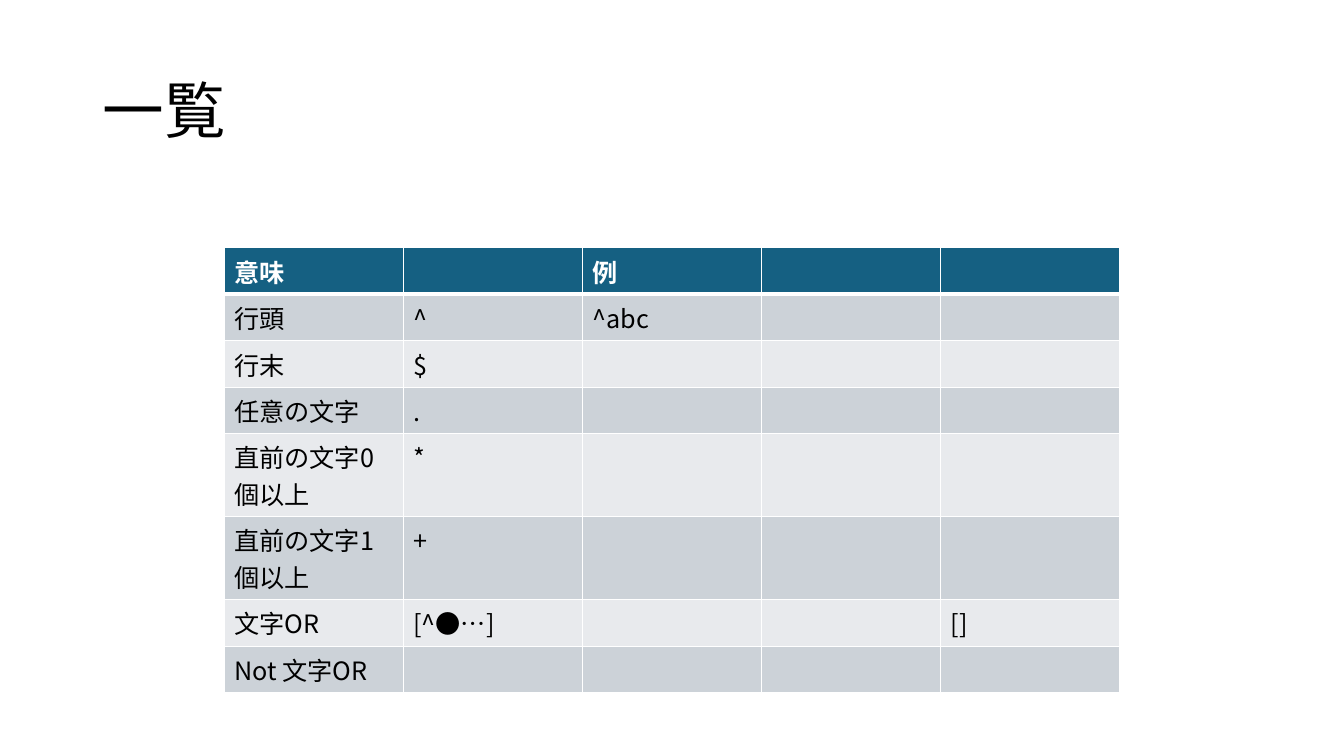
from dataclasses import dataclass

from lxml import etree
from pptx import Presentation
from pptx.dml.color import RGBColor
from pptx.enum.text import MSO_ANCHOR
from pptx.oxml.ns import qn
from pptx.util import Pt

MIDDLE = MSO_ANCHOR.MIDDLE


@dataclass(frozen=True)
class Theme:
    font: str = "Noto Sans CJK JP"
    title_size: int = 44
    body_size: int = 18
    ink: str = "000000"
    paper: str = "FFFFFF"
    header: str = "156082"
    bands: tuple = ("CCD2D8", "E8EAED")
    thin: int = 1
    thick: int = 3


THEME = Theme()
COLUMN_COUNT = 5
COLUMN_WIDTH = 128
ROW_HEIGHT = 33.2
TALL_ROW_HEIGHT = 59.3
TALL_ROWS = (4, 5)  # their meaning wraps to two lines

# Table content: column number -> text, one entry per row
REGEX_ROWS = [
    {0: "意味", 2: "例"},
    {0: "行頭", 1: "^", 2: "^abc"},
    {0: "行末", 1: "$"},
    {0: "任意の文字", 1: "."},
    {0: "直前の文字0個以上", 1: "*"},
    {0: "直前の文字1個以上", 1: "+"},
    {0: "文字OR", 1: "[^●…]", 4: "[]"},
    {0: "Not 文字OR"},
]


def format_text(para, size, color, bold=False):
    for span in para.runs:
        span.font.name = THEME.font
        span.font.size = Pt(size)
        span.font.bold = bold
        span.font.color.rgb = RGBColor.from_string(color)
        east_asian = etree.SubElement(span.font._element, qn("a:ea"))
        east_asian.set("typeface", THEME.font)


def add_title(page, text):
    box = page.shapes.add_textbox(Pt(66.5), Pt(28.8), Pt(828), Pt(104.4))
    frame = box.text_frame
    frame.word_wrap = True
    frame.vertical_anchor = MIDDLE
    frame.text = text
    para = frame.paragraphs[0]
    para.line_spacing = 0.9
    format_text(para, THEME.title_size, THEME.ink)


def set_borders(cell, bottom):
    """Cell lines must come before the fill in the cell properties."""
    properties = cell._tc.get_or_add_tcPr()
    widths = {"a:lnL": THEME.thin, "a:lnR": THEME.thin, "a:lnT": THEME.thin, "a:lnB": bottom}
    for position, (tag, width) in enumerate(widths.items()):
        line = etree.Element(qn(tag), w=str(Pt(width)))
        fill = etree.SubElement(line, qn("a:solidFill"))
        etree.SubElement(fill, qn("a:srgbClr"), val=THEME.paper)
        properties.insert(position, line)


def style_cell(cell, text, row):
    is_header = row == 0
    fill = THEME.header if is_header else THEME.bands[(row - 1) % 2]
    cell.fill.solid()
    cell.fill.fore_color.rgb = RGBColor.from_string(fill)
    set_borders(cell, bottom=THEME.thick if is_header else THEME.thin)
    if text:
        cell.text_frame.text = text
        color = THEME.paper if is_header else THEME.ink
        format_text(cell.text_frame.paragraphs[0], THEME.body_size, color, is_header)


def add_regex_table(page, rows):
    heights = [TALL_ROW_HEIGHT if row in TALL_ROWS else ROW_HEIGHT for row in range(len(rows))]
    table = page.shapes.add_table(
        len(rows), COLUMN_COUNT, Pt(160), Pt(177),
        Pt(COLUMN_WIDTH * COLUMN_COUNT), Pt(sum(heights)),
    ).table
    table.horz_banding = False
    for row, texts in enumerate(rows):
        table.rows[row].height = Pt(heights[row])
        for column in range(COLUMN_COUNT):
            style_cell(table.cell(row, column), texts.get(column), row)


def main():
    deck = Presentation()
    deck.slide_width, deck.slide_height = Pt(960), Pt(540)
    page = deck.slides.add_slide(deck.slide_layouts[6])

    # Heading
    add_title(page, "一覧")

    # Overview of the patterns
    add_regex_table(page, REGEX_ROWS)

    deck.save("out.pptx")


if __name__ == "__main__":
    main()
